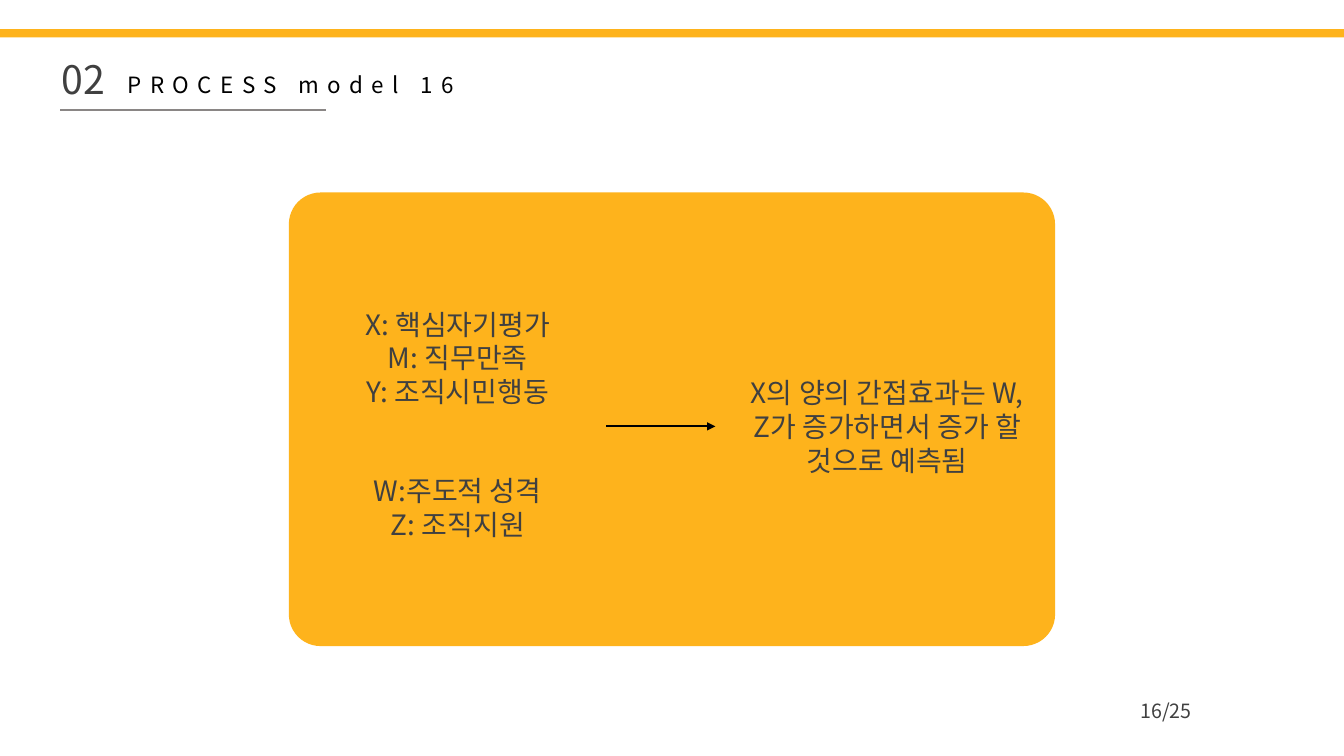
from lxml import etree
from pptx import Presentation
from pptx import util as u
from pptx.dml.color import RGBColor
from pptx.enum import shapes, text
from pptx.oxml.ns import qn

SECTION = "02"
TITLE = "PROCESS model 16"
VARIABLES = ["X: 핵심자기평가", "M: 직무만족", "Y: 조직시민행동"]
MODERATORS = ["W:주도적 성격", "Z: 조직지원"]
PREDICTION = "X의 양의 간접효과는 W, Z가 증가하면서 증가 할 것으로 예측됨"
PAGE = "16/25"

THEME = {
    "font": "Noto Sans CJK KR",
    "accent": "FEB31C", "ink": "404040", "black": "000000", "rule": "8A8685",
    "section": 28, "title": 16, "body": 20, "page": 14,
}
SLIDE_W, SLIDE_H = 13.33, 7.5
CARD_W, CARD_H, CARD_TOP = 7.6, 4.5, 1.91
COLUMN_W = 2.95
GROUP_GAP = 47

deck = Presentation()
deck.slide_width, deck.slide_height = u.Inches(SLIDE_W), u.Inches(SLIDE_H)
slide = deck.slides.add_slide(deck.slide_layouts[6])


def inches(*lengths):
    return [u.Inches(length) for length in lengths]


def add_text(groups, box, size, color="ink", align=text.PP_ALIGN.CENTER, spacing=0):
    frame = slide.shapes.add_textbox(*inches(*box)).text_frame
    frame.word_wrap = True
    frame.auto_size = text.MSO_AUTO_SIZE.SHAPE_TO_FIT_TEXT
    lines = [(line, g > 0 and i == 0)
             for g, group in enumerate(groups) for i, line in enumerate(group)]
    for n, (line, opens_group) in enumerate(lines):
        paragraph = frame.add_paragraph() if n else frame.paragraphs[0]
        paragraph.alignment = align
        if opens_group:
            paragraph.space_before = u.Pt(GROUP_GAP)
        run = paragraph.add_run()
        run.text = line
        run.font.size = u.Pt(THEME[size])
        run.font.name = THEME["font"]
        run.font.color.rgb = RGBColor.from_string(THEME[color])
        props = run._r.get_or_add_rPr()
        etree.SubElement(props, qn("a:ea")).set("typeface", THEME["font"])
        if spacing:
            props.set("spc", str(spacing * 100))


def add_block(preset, box):
    block = slide.shapes.add_shape(preset, *inches(*box))
    block.shadow.inherit = False
    block.fill.solid()
    block.fill.fore_color.rgb = RGBColor.from_string(THEME["accent"])
    block.line.fill.background()
    return block


def add_line(left, right, y, color, width, arrow=False):
    line = slide.shapes.add_connector(
        shapes.MSO_CONNECTOR.STRAIGHT, *inches(left, y, right, y))
    line.line.color.rgb = RGBColor.from_string(THEME[color])
    line.line.width = u.Pt(width)
    if arrow:
        etree.SubElement(line.line._get_or_add_ln(), qn("a:tailEnd")).set("type", "triangle")
    etree.SubElement(line._element.spPr, qn("a:effectLst"))


add_line(0.6, 3.23, 1.09, "rule", 1)
add_text([[TITLE]], (1.17, 0.66, 3.56, 0.37), "title", color="black",
         align=text.PP_ALIGN.LEFT, spacing=6)
add_text([[SECTION]], (0.51, 0.5, 0.91, 0.57), "section", align=text.PP_ALIGN.LEFT)
add_block(shapes.MSO_SHAPE.RECTANGLE, (0, 0.29, SLIDE_W, 0.08))

card_left = (SLIDE_W - CARD_W) / 2
card = add_block(shapes.MSO_SHAPE.ROUNDED_RECTANGLE, (card_left, CARD_TOP, CARD_W, CARD_H))
card.adjustments[0] = 0.07

variables_left = card_left + 0.2
arrow_left = variables_left + COLUMN_W
prediction_left = card_left + CARD_W - 0.2 + 0.01 - COLUMN_W
middle = 4.23
add_text([VARIABLES, MODERATORS], (variables_left, middle - 1.23, COLUMN_W, 2.46), "body")
add_line(arrow_left, arrow_left + 1.08, middle, "black", 1.5, arrow=True)
add_text([[PREDICTION]], (prediction_left, middle - 0.55, COLUMN_W, 1.11), "body")
add_text([[PAGE]], (10.11, 6.88, 2.91, 0.34), "page")

deck.save("out.pptx")
